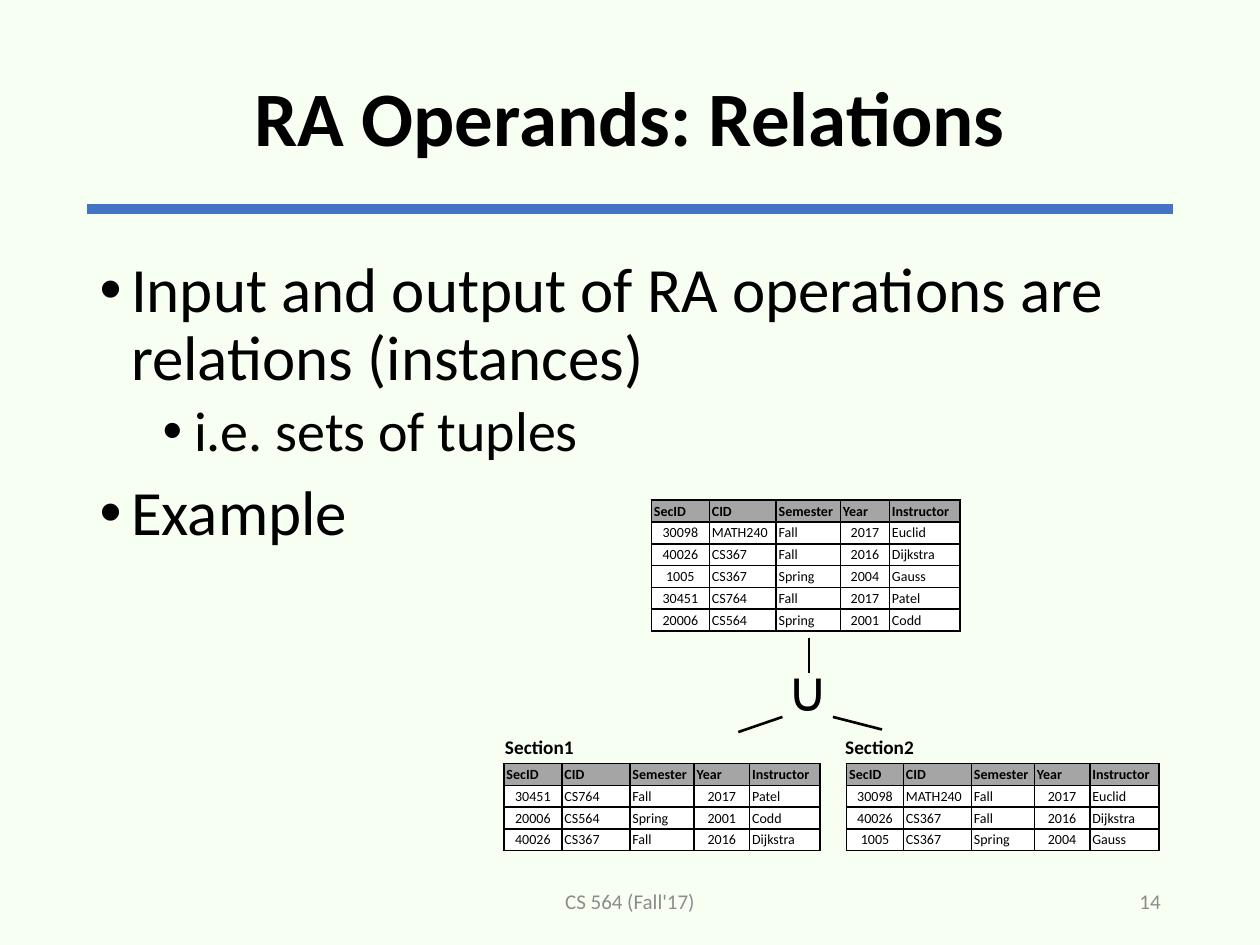
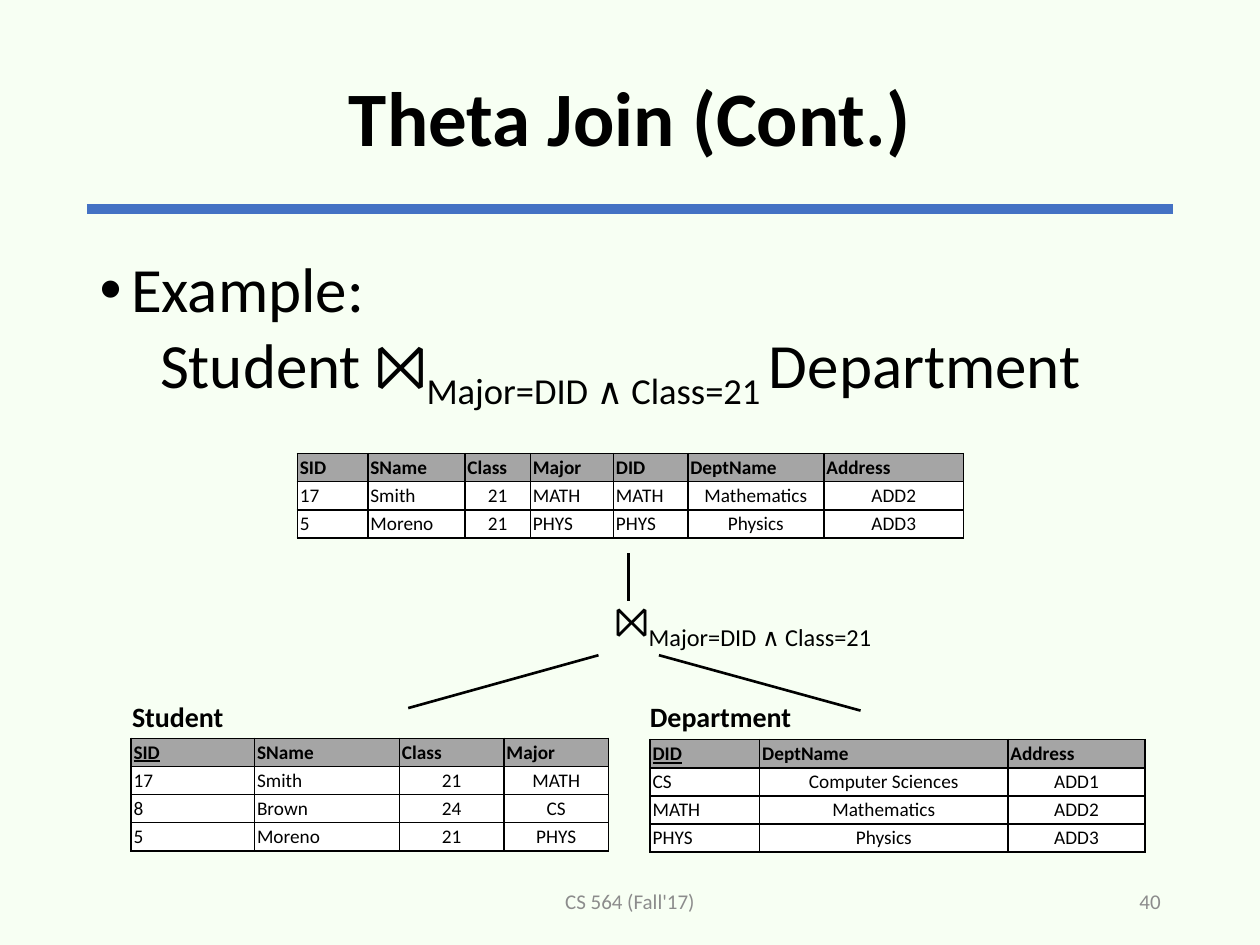
from lxml.etree import SubElement
from pptx import Presentation
from pptx.dml.color import RGBColor
from pptx.enum.shapes import MSO_CONNECTOR as Connector
from pptx.enum.text import MSO_ANCHOR as Anchor, MSO_AUTO_SIZE as AutoSize, PP_ALIGN as Align
from pptx.oxml.ns import qn
from pptx.util import Inches, Pt

BACKGROUND = RGBColor(0xF7, 0xFF, 0xF3)
BLACK = RGBColor(0, 0, 0)
WHITE = RGBColor(0xFF, 0xFF, 0xFF)
RULE_BLUE = RGBColor(0x44, 0x72, 0xC4)
FOOTER_GRAY = RGBColor(0x8C, 0x8C, 0x8C)
HEADER_GRAY = RGBColor(0xA5, 0xA5, 0xA5)

FONT = "Calibri"
SUBSCRIPT = "-25000"
JOIN_CONDITION = "Major=DID ∧ Class=21"
LEVEL_SIZES = (36, 32)
LEVEL_SPACING = (10, 5)


class Deck:
    def __init__(self):
        self.presentation = Presentation()
        self.presentation.slide_width = Inches(10)
        self.presentation.slide_height = Inches(7.5)
        fill = self.presentation.slide_master.background.fill
        fill.solid()
        fill.fore_color.rgb = BACKGROUND
        self.slide = None

    def place(self, shape, left, top, width, height):
        shape.left, shape.top = Inches(left), Inches(top)
        shape.width, shape.height = Inches(width), Inches(height)

    def add_run(self, paragraph, text, size, color=BLACK, bold=False, underline=False, subscript=False):
        run = paragraph.add_run()
        run.text = text
        run.font.name = FONT
        run.font.size = Pt(size)
        run.font.bold = bold
        run.font.underline = underline
        run.font.color.rgb = color
        if subscript:
            run.font._element.set("baseline", SUBSCRIPT)

    def start_slide(self, title, number):
        self.slide = self.presentation.slides.add_slide(self.presentation.slide_layouts[1])
        self.add_line((0.69, 1.66), (9.31, 1.66), RULE_BLUE, 6)
        shape = self.slide.shapes.title
        self.place(shape, 0.69, 0.24, 8.62, 1.45)
        shape.text_frame.auto_size = AutoSize.NONE
        shape.text_frame.vertical_anchor = Anchor.MIDDLE
        paragraph = shape.text_frame.paragraphs[0]
        paragraph.alignment = Align.CENTER
        paragraph.line_spacing = 0.9
        self.add_run(paragraph, title, 44, bold=True)
        footer = dict(size=12, color=FOOTER_GRAY, anchor=Anchor.MIDDLE)
        self.add_text(3.31, 6.95, 3.38, 0.4, "CS 564 (Fall'17)", align=Align.CENTER, **footer)
        self.add_text(7.06, 6.95, 2.25, 0.4, str(number), align=Align.RIGHT, **footer)

    def add_text(self, left, top, width, height, text, size, color=BLACK, bold=False,
                 align=Align.LEFT, anchor=Anchor.TOP, subscript=""):
        box = self.slide.shapes.add_textbox(Inches(left), Inches(top), Inches(width), Inches(height))
        frame = box.text_frame
        frame.word_wrap = True
        frame.vertical_anchor = anchor
        paragraph = frame.paragraphs[0]
        paragraph.alignment = align
        self.add_run(paragraph, text, size, color, bold)
        if subscript:
            self.add_run(paragraph, subscript, size, color, bold, subscript=True)

    def add_label(self, left, top, text, size):
        self.add_text(left, top, 1.7, 0.3, text, size, bold=True)

    def start_body(self):
        body = self.slide.placeholders[1]
        self.place(body, 0.69, 2, 8.62, 4.76)
        body.text_frame.auto_size = AutoSize.NONE
        body.text_frame.vertical_anchor = Anchor.TOP
        return body.text_frame

    def format_body_paragraph(self, paragraph, left, indent, space_before):
        properties = paragraph._p.get_or_add_pPr()
        properties.set("marL", str(Inches(left)))
        properties.set("indent", str(Inches(indent)))
        paragraph.line_spacing = 0.9
        paragraph.space_before = Pt(space_before)
        paragraph.alignment = Align.LEFT
        return properties

    def add_bullets(self, items):
        frame = self.start_body()
        for index, (level, text) in enumerate(items):
            paragraph = frame.add_paragraph() if index else frame.paragraphs[0]
            paragraph.level = level
            spacing = LEVEL_SPACING[level] if index else 0
            properties = self.format_body_paragraph(paragraph, 0.25 + 0.5 * level, -0.25, spacing)
            SubElement(properties, qn("a:buFont")).set("typeface", "Arial")
            SubElement(properties, qn("a:buChar")).set("char", "•")
            self.add_run(paragraph, text, LEVEL_SIZES[level])
        return frame

    def add_formula(self, frame, parts):
        paragraph = frame.add_paragraph()
        SubElement(self.format_body_paragraph(paragraph, 0.48, 0, 0), qn("a:buNone"))
        for text, subscript in parts:
            self.add_run(paragraph, text, LEVEL_SIZES[0], subscript=subscript)

    def add_line(self, start, end, color=BLACK, width=1.5):
        points = [Inches(value) for value in (*start, *end)]
        line = self.slide.shapes.add_connector(Connector.STRAIGHT, *points)
        line.line.color.rgb = color
        line.line.width = Pt(width)
        SubElement(line._element.spPr, qn("a:effectLst"))

    def add_borders(self, cell):
        properties = cell._tc.get_or_add_tcPr()
        for side in ("lnL", "lnR", "lnT", "lnB"):
            border = SubElement(properties, qn(f"a:{side}"), w=str(Pt(1)))
            fill = SubElement(border, qn("a:solidFill"))
            SubElement(fill, qn("a:srgbClr"), val=str(BLACK))

    def add_relation(self, left, top, widths, row_height, size, header, rows, centered, has_key=False):
        records = [header, *rows]
        table = self.slide.shapes.add_table(
            len(records), len(header), Inches(left), Inches(top),
            Inches(sum(widths)), Inches(row_height * len(records))).table
        table.first_row = table.horz_banding = False
        for column, width in zip(table.columns, widths):
            column.width = Inches(width)
        for row_index, record in enumerate(records):
            table.rows[row_index].height = Inches(row_height)
            is_header = row_index == 0
            for column_index, text in enumerate(record):
                cell = table.cell(row_index, column_index)
                cell.margin_left = cell.margin_right = Inches(0.02)
                cell.margin_top = cell.margin_bottom = Inches(0.02)
                self.add_borders(cell)
                cell.fill.solid()
                cell.fill.fore_color.rgb = HEADER_GRAY if is_header else WHITE
                paragraph = cell.text_frame.paragraphs[0]
                is_centered = not is_header and column_index in centered
                paragraph.alignment = Align.CENTER if is_centered else Align.LEFT
                is_key = has_key and is_header and column_index == 0
                self.add_run(paragraph, text, size, bold=is_header, underline=is_key)


def add_union_slide(deck):
    deck.start_slide("RA Operands: Relations", 14)
    deck.add_bullets([
        (0, "Input and output of RA operations are relations (instances)"),
        (1, "i.e. sets of tuples"),
        (0, "Example"),
    ])
    header = ("SecID", "CID", "Semester", "Year", "Instructor")
    euclid = ("30098", "MATH240", "Fall", "2017", "Euclid")
    dijkstra = ("40026", "CS367", "Fall", "2016", "Dijkstra")
    gauss = ("1005", "CS367", "Spring", "2004", "Gauss")
    patel = ("30451", "CS764", "Fall", "2017", "Patel")
    codd = ("20006", "CS564", "Spring", "2001", "Codd")
    relations = [
        (4, 6.06, (0.46, 0.54, 0.51, 0.44, 0.56), (patel, codd, dijkstra)),
        (6.72, 6.06, (0.45, 0.54, 0.5, 0.44, 0.55), (euclid, dijkstra, gauss)),
        (5.17, 3.97, (0.46, 0.53, 0.51, 0.39, 0.56), (euclid, dijkstra, gauss, patel, codd)),
    ]
    for left, top, widths, rows in relations:
        deck.add_relation(left, top, widths, 0.17, 8, header, rows, {0, 3})
    deck.add_label(3.91, 5.79, "Section1", 11)
    deck.add_label(6.61, 5.79, "Section2", 11)
    deck.add_text(5.69, 5.24, 1.45, 0.46, "∪", 32, align=Align.CENTER, anchor=Anchor.MIDDLE)
    deck.add_line((6.42, 5.06), (6.42, 5.34))
    deck.add_line((6.21, 5.69), (5.86, 5.81))
    deck.add_line((6.61, 5.69), (7, 5.79))


def add_theta_join_slide(deck):
    deck.start_slide("Theta Join (Cont.)", 40)
    frame = deck.add_bullets([(0, "Example:")])
    deck.add_formula(frame, [("Student ⨝", False), (JOIN_CONDITION + " ", True), ("Department", False)])
    student_header = ("SID", "SName", "Class", "Major")
    department_header = ("DID", "DeptName", "Address")
    smith = ("17", "Smith", "21", "MATH")
    brown = ("8", "Brown", "24", "CS")
    moreno = ("5", "Moreno", "21", "PHYS")
    computing = ("CS", "Computer Sciences", "ADD1")
    mathematics = ("MATH", "Mathematics", "ADD2")
    physics = ("PHYS", "Physics", "ADD3")
    deck.add_relation(1.04, 5.86, (0.98, 1.15, 0.83, 0.83), 0.22, 11, student_header,
                      (smith, brown, moreno), {2, 3}, has_key=True)
    deck.add_relation(5.16, 5.87, (0.87, 1.97, 1.09), 0.22, 11, department_header,
                      (computing, mathematics, physics), {1, 2}, has_key=True)
    deck.add_relation(2.36, 3.6, (0.56, 0.77, 0.52, 0.66, 0.59, 1.08, 1.11), 0.22, 11,
                      student_header + department_header,
                      (smith + mathematics, moreno + physics), {2, 5, 6})
    deck.add_label(0.95, 5.5, "Student", 16)
    deck.add_label(5.06, 5.5, "Department", 16)
    deck.add_text(4.78, 4.58, 2.5, 0.73, "⨝", 24, anchor=Anchor.MIDDLE, subscript=JOIN_CONDITION)
    deck.add_line((4.99, 4.39), (4.99, 4.77))
    deck.add_line((4.75, 5.2), (3.24, 5.62))
    deck.add_line((5.23, 5.2), (6.83, 5.64))


def main():
    deck = Deck()
    add_union_slide(deck)
    add_theta_join_slide(deck)
    deck.presentation.save("out.pptx")


if __name__ == "__main__":
    main()
